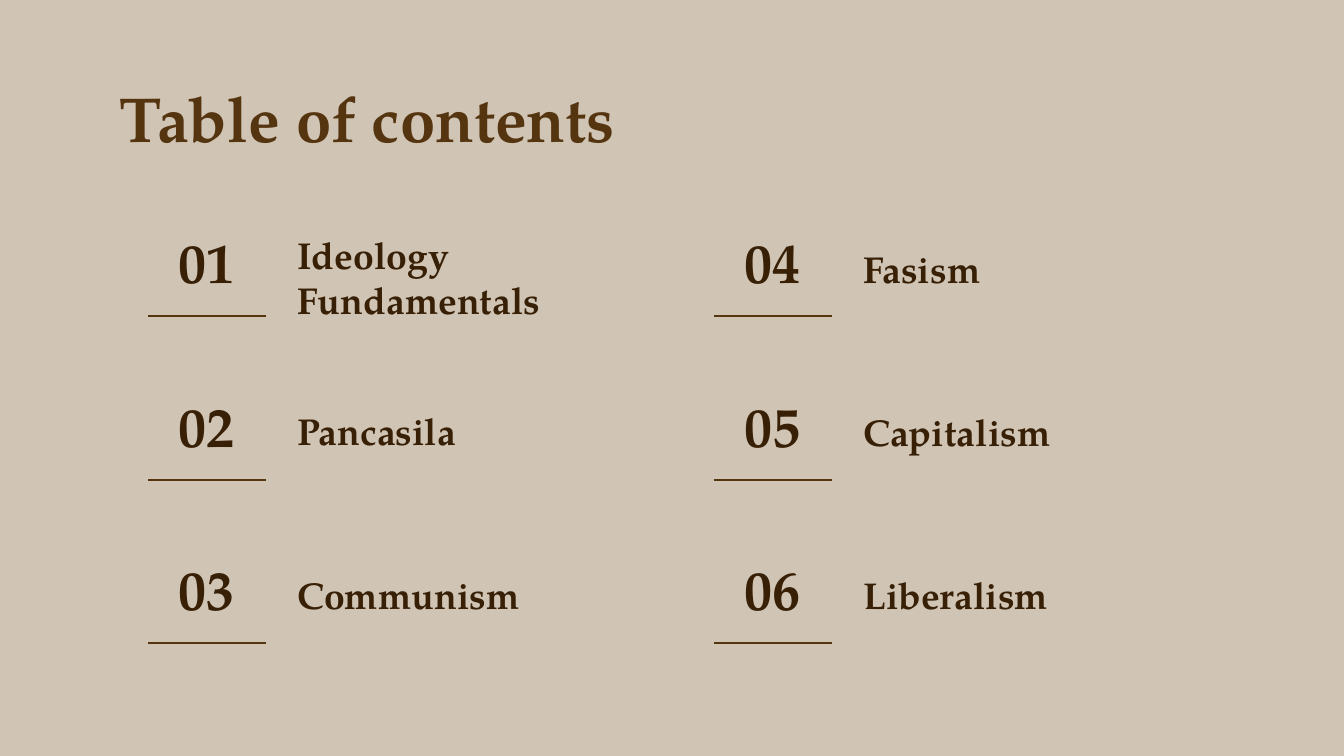
from pptx import Presentation
from pptx import util as u
from pptx.dml.color import RGBColor
from pptx.enum import shapes, text
from lxml import etree

PX = 914400 / 134.4
FONT = "TeX Gyre Pagella"
SAND = RGBColor(0xD0, 0xC4, 0xB4)
BROWN = RGBColor(0x55, 0x34, 0x10)
DARK = RGBColor(0x38, 0x20, 0x06)
A_NS = "http://schemas.openxmlformats.org/drawingml/2006/main"


def px(n):
    return u.Emu(round(n * PX))


def write(holder, box, wording, size, color,
          align=text.PP_ALIGN.LEFT, anchor=text.MSO_ANCHOR.TOP):
    """Place a text holder at box (px) and fill it with one formatted run."""
    holder.left, holder.top, holder.width, holder.height = map(px, box)
    frame = holder.text_frame
    frame.word_wrap = True
    frame.auto_size = text.MSO_AUTO_SIZE.NONE
    frame.vertical_anchor = anchor
    frame.margin_left = frame.margin_right = u.Inches(0.1)
    frame.margin_top = frame.margin_bottom = u.Inches(0.1)
    paragraph = frame.paragraphs[0]
    paragraph.alignment = align
    run = paragraph.add_run()
    run.text = wording
    run.font.name = FONT
    run.font.size = u.Pt(size)
    run.font.bold = True
    run.font.color.rgb = color


prs = Presentation()
prs.slide_width, prs.slide_height = px(1344), px(756)
slide = prs.slides.add_slide(prs.slide_layouts[5])
slide.background.fill.solid()
slide.background.fill.fore_color.rgb = SAND

write(slide.shapes.title, (106, 66, 1133, 85), "Table of contents", 34, BROWN)

column_lefts = (130, 696)
row_tops = (212, 376, 539)
# Topic and its drop below the top of the row
topics = [("Ideology Fundamentals", 7), ("Pancasila", 19), ("Communism", 20),
          ("Fasism", 21), ("Capitalism", 20), ("Liberalism", 20)]

for index, (topic, drop) in enumerate(topics):
    column, row = divmod(index, len(row_tops))
    left, top = column_lefts[column], row_tops[row]

    number = slide.shapes.add_textbox(0, 0, 0, 0)
    write(number, (left, top, 154, 98), f"{index + 1:02}", 30, DARK,
          text.PP_ALIGN.CENTER, text.MSO_ANCHOR.MIDDLE)

    label = slide.shapes.add_textbox(0, 0, 0, 0)
    write(label, (left + 154, top + drop, 364, 58), topic, 20, DARK)

    underline = slide.shapes.add_connector(
        shapes.MSO_CONNECTOR.STRAIGHT,
        px(left + 18), px(top + 104), px(left + 136), px(top + 104))
    underline.line.color.rgb = BROWN
    underline.line.width = u.Pt(0.75)
    etree.SubElement(underline._element.spPr, f"{{{A_NS}}}effectLst")

prs.save("out.pptx")
